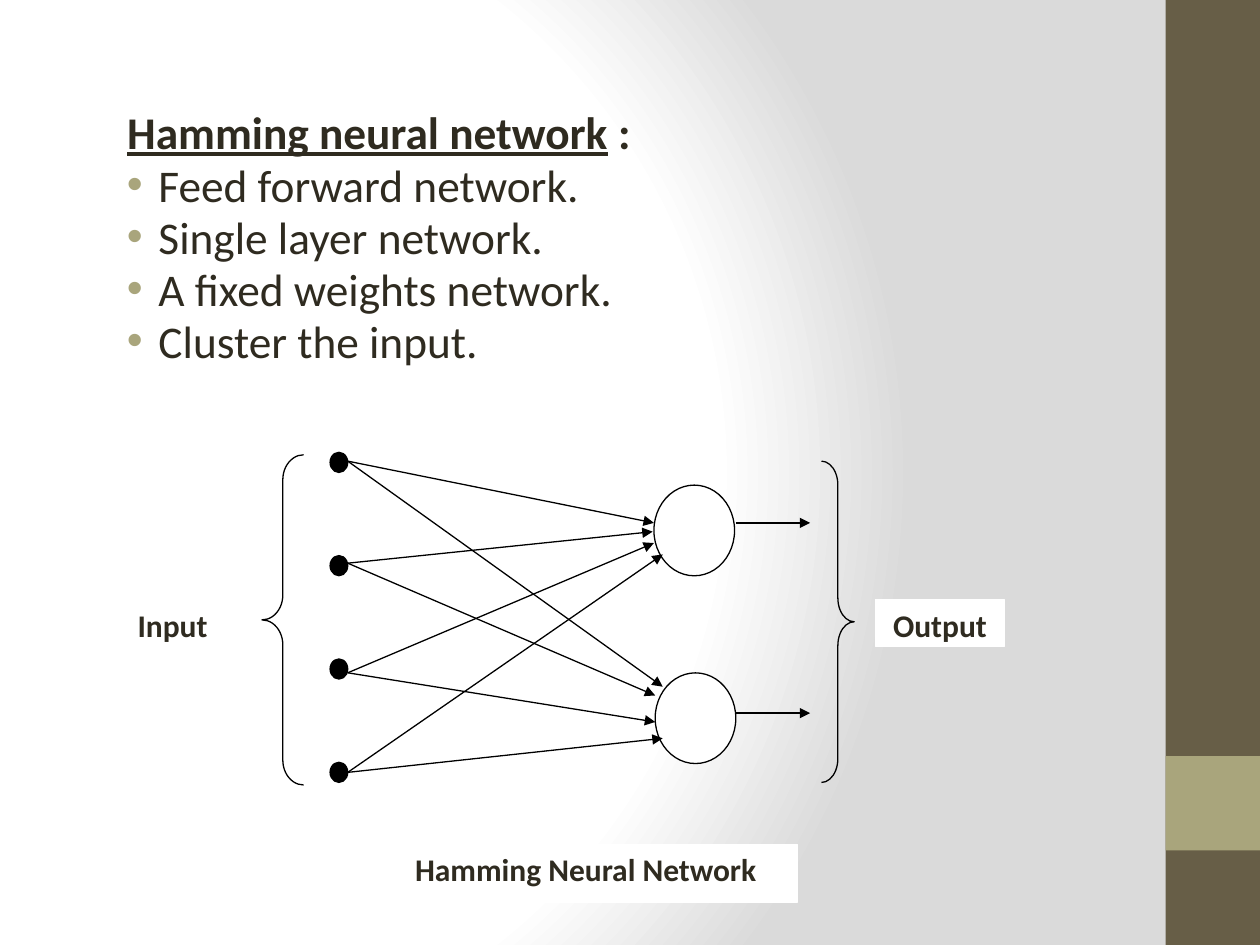
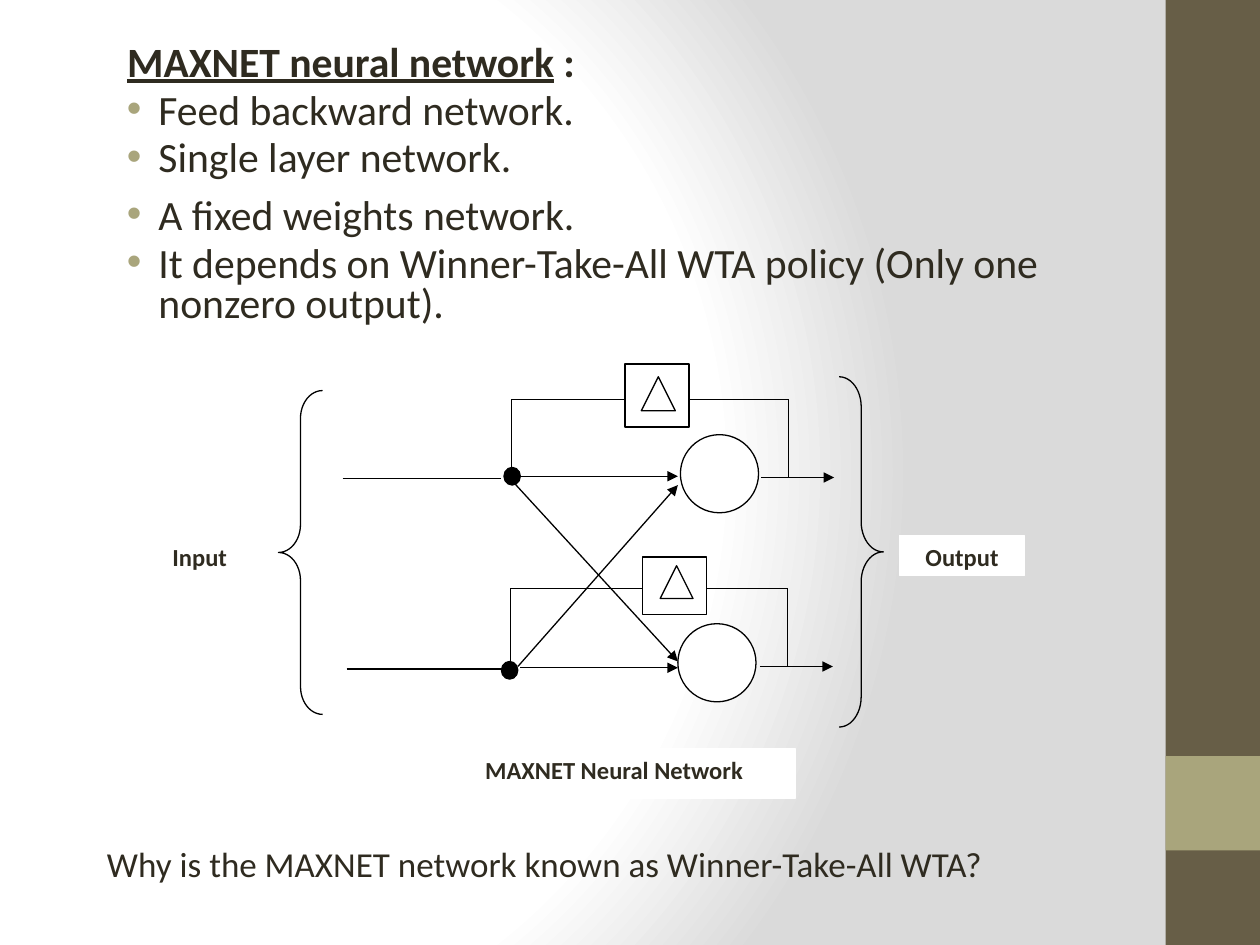
from pptx import Presentation
from pptx.dml.color import RGBColor
from pptx.enum.shapes import MSO_CONNECTOR, MSO_SHAPE
from pptx.enum.text import MSO_ANCHOR, MSO_AUTO_SIZE, PP_ALIGN
from pptx.oxml import parse_xml
from pptx.oxml.ns import nsdecls, qn
from pptx.util import Inches, Pt

RECT, OVAL, DELTA = MSO_SHAPE.RECTANGLE, MSO_SHAPE.OVAL, MSO_SHAPE.ISOSCELES_TRIANGLE
LEFT_BRACE, RIGHT_BRACE = MSO_SHAPE.LEFT_BRACE, MSO_SHAPE.RIGHT_BRACE
STRAIGHT = MSO_CONNECTOR.STRAIGHT
TOP, FIXED = MSO_ANCHOR.TOP, MSO_AUTO_SIZE.NONE
LEFT, CENTER = PP_ALIGN.LEFT, PP_ALIGN.CENTER

INK = RGBColor(0x2F, 0x2B, 0x20)
BROWN = RGBColor(0x67, 0x5E, 0x47)
KHAKI = RGBColor(0xA9, 0xA5, 0x7C)
GREY = RGBColor(0xDA, 0xDA, 0xDA)
WHITE = RGBColor(0xFF, 0xFF, 0xFF)
BLACK = RGBColor(0, 0, 0)
FONT = "Calibri"
TEXT_LEFT, TEXT_WIDE = 0.78, 7.73
MARGIN, HANG = 0.38, -0.25


def put(slide, kind, box, fill=None, line=None):
    """Add a flat preset shape; box is left, top, width, height in inches."""
    shape = slide.shapes.add_shape(kind, *[Inches(v) for v in box])
    shape.shadow.inherit = False
    if fill is None:
        shape.fill.background()
    else:
        shape.fill.solid()
        shape.fill.fore_color.rgb = fill
    if line is None:
        shape.line.fill.background()
    else:
        shape.line.color.rgb = line
        shape.line.width = Pt(0.75)
    return shape


def wire(slide, start, end, arrow=False):
    """Join two points with a thin black line, with an arrowhead if asked."""
    points = [Inches(v) for v in (*start, *end)]
    link = slide.shapes.add_connector(STRAIGHT, *points)
    link.line.color.rgb = BLACK
    link.line.width = Pt(0.75)
    props = link.element.spPr
    if arrow:
        tip = parse_xml(f'<a:tailEnd {nsdecls("a")} type="triangle"/>')
        props.find(qn("a:ln")).append(tip)
    props.append(parse_xml(f'<a:effectLst {nsdecls("a")}/>'))


deck = Presentation()
deck.slide_width, deck.slide_height = Inches(10), Inches(7.5)
layout = deck.slide_layouts[5]
master = deck.slide_master

# Shared background: white glow fading to grey
master.background.fill.solid()
back = master.element.find(".//" + qn("p:bgPr"))
stops = "".join(
    f'<a:gs pos="{pos}000"><a:srgbClr val="{tone}"/></a:gs>'
    for pos, tone in ((0, WHITE), (75, WHITE), (100, GREY))
)
back.replace(back[0], parse_xml(
    f'<a:gradFill {nsdecls("a")} rotWithShape="1"><a:gsLst>{stops}</a:gsLst>'
    '<a:path path="circle"><a:fillToRect l="20000" t="50000" r="100000" b="50000"/>'
    '</a:path></a:gradFill>'
))

# Text, labels and braces of each slide
pages = [
    {
        "title": "Hamming neural network",
        "points": ["Feed forward network.", "Single layer network.",
                   "A fixed weights network.", "Cluster the input."],
        "top": 0.86, "size": 25.9, "gap": 4.8, "pitch": 0.42, "small": 18,
        "labels": [("Hamming Neural Network", (2.97, 6.7, 3.36, 0.46)),
                   ("Input", (0.86, 4.76, 1.02, 0.37)),
                   ("Output", (6.95, 4.76, 1.02, 0.37))],
        "braces": [(LEFT_BRACE, (2.08, 3.61, 0.33, 2.62), 0.6),
                   (RIGHT_BRACE, (6.52, 3.66, 0.26, 2.55), 0.73)],
    },
    {
        "title": "MAXNET neural network",
        "points": ["Feed backward network.", "Single layer network.",
                   "A fixed weights network.",
                   "It depends on Winner-Take-All WTA policy (Only one nonzero output)."],
        "top": 0.31, "size": 23.8, "gap": 4.4, "pitch": 0.38, "small": 14,
        "labels": [("MAXNET Neural Network", (3.44, 5.94, 2.87, 0.4)),
                   ("Input", (1.09, 4.25, 0.99, 0.32)),
                   ("Output", (7.14, 4.25, 0.99, 0.32))],
        "braces": [(LEFT_BRACE, (2.21, 3.1, 0.35, 2.57), 0.63),
                   (RIGHT_BRACE, (6.66, 2.99, 0.35, 2.78), 0.68)],
    },
]

for page in pages:
    slide = deck.slides.add_slide(layout)

    title = slide.shapes.title
    title.left, title.top = Inches(TEXT_LEFT), Inches(page["top"])
    title.width, title.height = Inches(TEXT_WIDE), Inches(page["pitch"])
    frame = title.text_frame
    frame.word_wrap, frame.auto_size = True, FIXED
    frame.vertical_anchor = TOP
    head = frame.paragraphs[0]
    head.alignment, head.line_spacing = LEFT, 0.8
    props = head._p.get_or_add_pPr()
    props.set("marL", str(Inches(MARGIN)))
    props.set("indent", str(Inches(HANG)))
    name = head.add_run()
    name.text = page["title"]
    name.font.underline = True
    head.add_run().text = " :"
    head.font.name, head.font.size = FONT, Pt(page["size"])
    head.font.bold, head.font.color.rgb = True, INK

    body = slide.shapes.add_textbox(
        Inches(TEXT_LEFT), Inches(page["top"] + page["pitch"]),
        Inches(TEXT_WIDE), Inches(2.34 - page["pitch"]))
    frame = body.text_frame
    frame.word_wrap = True
    for i, point in enumerate(page["points"]):
        para = frame.paragraphs[0] if i == 0 else frame.add_paragraph()
        para.text = point
        props = para._p.get_or_add_pPr()
        props.set("marL", str(Inches(MARGIN)))
        props.set("indent", str(Inches(HANG)))
        for mark in (f'<a:buClr {nsdecls("a")}><a:srgbClr val="{KHAKI}"/></a:buClr>',
                     f'<a:buFont {nsdecls("a")} typeface="Arial"/>',
                     f'<a:buChar {nsdecls("a")} char="•"/>'):
            props.append(parse_xml(mark))
        # The third MAXNET point keeps full line spacing
        loose = page is pages[1] and i == 2
        para.line_spacing = 1.0 if loose else 0.8
        if i:
            para.space_before = Pt(page["gap"])
        para.font.name, para.font.size = FONT, Pt(page["size"])
        para.font.color.rgb = INK

    for text, box in page["labels"]:
        label = put(slide, RECT, box, WHITE, WHITE)
        frame = label.text_frame
        frame.word_wrap, frame.vertical_anchor = True, TOP
        para = frame.paragraphs[0]
        para.text = text
        para.alignment, para.space_after = CENTER, Pt(10)
        para.font.name, para.font.size = FONT, Pt(page["small"])
        para.font.bold, para.font.color.rgb = True, INK

    for kind, box, curve in page["braces"]:
        brace = put(slide, kind, box, line=BLACK)
        brace.adjustments[0] = curve

hamming, maxnet = deck.slides

# Side bands, moved to the master so that every slide shows them
bands = [((9.25, 0, 0.75, 7.5), BROWN), ((9.25, 6, 0.75, 0.75), KHAKI)]
for i, (box, tone) in enumerate(bands):
    band = put(hamming, RECT, box, tone)
    band.element.nvSpPr.cNvPr.id = 100 + i
    master.shapes.element.insert_element_before(band.element, "p:extLst")

# Hamming network: four inputs, each wired to two neurons
for left, top in ((5.19, 3.85), (5.2, 5.34)):
    put(hamming, OVAL, (left, top, 0.64, 0.72), WHITE, BLACK)
inputs = [
    (3.66, (5.19, 4.15), (5.26, 5.45)),
    (4.47, (5.18, 4.22), (5.2, 5.52)),
    (5.34, (5.19, 4.31), (5.2, 5.73)),
    (6.13, (5.26, 4.4), (5.26, 5.86)),
]
for i, (y, *tips) in enumerate(inputs):
    put(hamming, OVAL, (2.62, 3.59 + 0.82 * i, 0.14, 0.16), BLACK, BLACK)
    for tip in tips:
        wire(hamming, (2.76, y), tip, arrow=True)
for y in (4.15, 5.66):
    wire(hamming, (5.84, y), (6.43, y), arrow=True)

# MAXNET network: two rows, each with a delay box in its feedback loop
rows = [
    {"lead": (2.72, 3.8), "dot": (4, 3.71), "ring": (5.4, 3.45), "out": (6.04, 3.79),
     "ahead": ((4.11, 3.78), (5.38, 3.78)), "cross": ((4.05, 3.8), (5.38, 5.25)),
     "loop": (4.06, 6.26, 3.17), "delay": (4.96, 2.89, 0.51, 0.5),
     "delta": (5.09, 2.99, 0.27, 0.27)},
    {"lead": (2.75, 5.31), "dot": (3.98, 5.25), "ring": (5.38, 4.95), "out": (6.03, 5.29),
     "ahead": ((4.13, 5.3), (5.38, 5.3)), "cross": ((4.11, 5.29), (5.38, 3.85)),
     "loop": (4.05, 6.25, 4.67), "delay": (5.1, 4.42, 0.51, 0.46),
     "delta": (5.24, 4.49, 0.26, 0.26)},
]
for row in rows:
    put(maxnet, OVAL, (*row["ring"], 0.62, 0.62), WHITE, BLACK)
    put(maxnet, OVAL, (*row["dot"], 0.13, 0.14), BLACK, BLACK)
    x, y = row["lead"]
    wire(maxnet, (x, y), (x + 1.26, y))
    wire(maxnet, *row["ahead"], arrow=True)
    wire(maxnet, *row["cross"], arrow=True)
    x, y = row["out"]
    wire(maxnet, (x, y), (x + 0.58, y), arrow=True)
for row in rows:
    near, far, rail = row["loop"]
    left, _, wide, _ = row["delay"]
    wire(maxnet, (near, row["dot"][1]), (near, rail))
    wire(maxnet, (near, rail), (left, rail))
    wire(maxnet, (left + wide, rail), (far, rail))
    wire(maxnet, (far, rail), (far, row["out"][1]))
    put(maxnet, RECT, row["delay"], WHITE, BLACK)
    put(maxnet, DELTA, row["delta"], WHITE, BLACK)

query = maxnet.shapes.add_textbox(Inches(0.62), Inches(6.64), Inches(7.81), Inches(0.55))
query.text_frame.word_wrap = True
para = query.text_frame.paragraphs[0]
para.text = "Why is the MAXNET network known as Winner-Take-All WTA?"
props = para._p.get_or_add_pPr()
props.set("marL", str(Inches(MARGIN)))
props.set("indent", str(Inches(HANG)))
para.font.name, para.font.size = FONT, Pt(20)
para.font.color.rgb = INK

deck.save("out.pptx")
